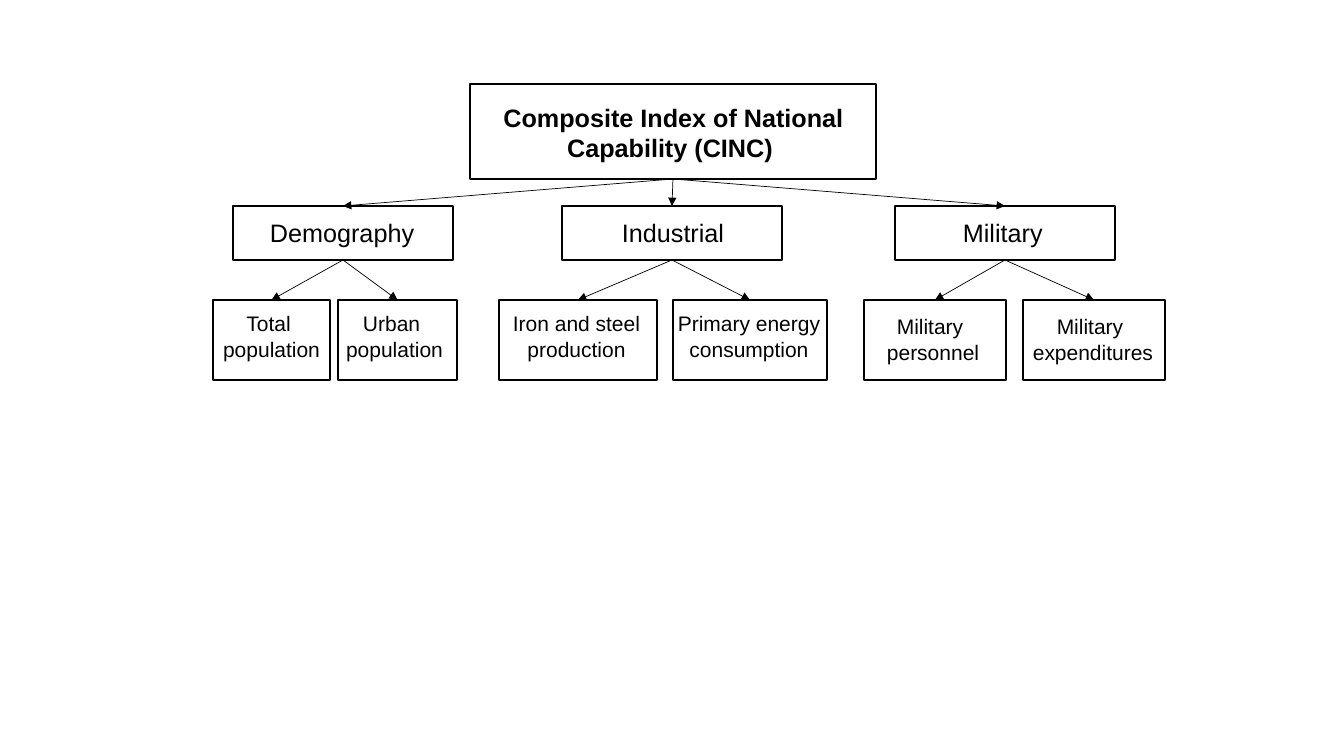
from dataclasses import dataclass

from lxml.etree import SubElement
from pptx import Presentation
from pptx.dml.color import RGBColor
from pptx.enum.shapes import MSO_CONNECTOR as Link, MSO_SHAPE as Form
from pptx.enum.text import MSO_ANCHOR as Anchor, MSO_AUTO_SIZE as Fit, PP_ALIGN as Align
from pptx.oxml.ns import qn
from pptx.shapes.autoshape import Shape
from pptx.util import Emu, Pt

BLACK = RGBColor(0, 0, 0)
WHITE = RGBColor(255, 255, 255)
FONT = "Arial"
SCALE = 914400 / 100.8


@dataclass(frozen=True)
class Area:
    left: int
    top: int
    width: int
    height: int

    def emu(self) -> list[Emu]:
        sides = (self.left, self.top, self.width, self.height)
        return [Emu(round(side * SCALE)) for side in sides]


@dataclass(frozen=True)
class Node:
    lines: tuple[str, ...]
    box: Area
    label: Area
    size: int
    align: Align = Align.CENTER
    bold: bool = False
    wrap: bool = False


def group(text: str, left: int, start: int, width: int) -> Node:
    return Node((text,), Area(left, 206, 220, 54), Area(start, 212, width, 40), 18, Align.LEFT)


def leaf(first: str, second: str, left: int, width: int,
         start: int, span: int, top: int = 306) -> Node:
    return Node((first, second), Area(left, 300, width, 80), Area(start, top, span, 61), 15)


ROOT = Node(("Composite Index of National Capability (CINC) ",),
            Area(470, 84, 406, 95), Area(487, 97, 373, 72), 18, bold=True, wrap=True)

TREE = {
    group("Demography", 233, 260, 166): (
        leaf("Total ", "population", 213, 117, 212, 119),
        leaf("Urban ", "population", 338, 119, 335, 119),
    ),
    group("Industrial", 562, 612, 124): (
        leaf("Iron and steel", "production", 499, 158, 502, 149),
        leaf("Primary energy", "consumption", 673, 154, 667, 164),
    ),
    group("Military ", 895, 953, 108): (
        leaf("Military ", "personnel", 864, 142, 876, 114, 309),
        leaf("Military ", "expenditures", 1023, 142, 1022, 142, 309),
    ),
}

deck = Presentation()
deck.slide_width, deck.slide_height = Area(0, 0, 1344, 756).emu()[2:]
slide = deck.slides.add_slide(deck.slide_layouts[5])
shapes = slide.shapes


def write(shape: Shape, node: Node) -> None:
    shape.left, shape.top, shape.width, shape.height = node.label.emu()
    frame = shape.text_frame
    frame.word_wrap = node.wrap
    frame.auto_size = Fit.SHAPE_TO_FIT_TEXT
    frame.vertical_anchor = Anchor.TOP
    for index, line in enumerate(node.lines):
        para = frame.add_paragraph() if index else frame.paragraphs[0]
        para.alignment = node.align
        run = para.add_run()
        run.text = line
        font = run.font
        font.name, font.size, font.bold = FONT, Pt(node.size), node.bold
        font.color.rgb = BLACK


def frame_box(node: Node) -> Shape:
    box = shapes.add_shape(Form.RECTANGLE, *node.box.emu())
    box.shadow.inherit = False
    box.fill.solid()
    box.fill.fore_color.rgb = WHITE
    box.line.color.rgb = BLACK
    box.line.width = Pt(1)
    return box


def draw(node: Node) -> Shape:
    box = frame_box(node)
    write(shapes.add_textbox(*node.label.emu()), node)
    return box


def join(parent: Shape, child: Shape) -> None:
    arrow = shapes.add_connector(Link.STRAIGHT, 0, 0, 0, 0)
    arrow.begin_connect(parent, 2)
    arrow.end_connect(child, 0)
    arrow.line.color.rgb = BLACK
    arrow.line.width = Pt(0.5)
    SubElement(arrow.line._get_or_add_ln(), qn("a:tailEnd"), type="triangle")
    SubElement(arrow.element.spPr, qn("a:effectLst"))


top = frame_box(ROOT)
title = shapes.title
shapes.element.append(title.element)
write(title, ROOT)

for branch, leaves in TREE.items():
    middle = draw(branch)
    join(top, middle)
    for item in leaves:
        join(middle, draw(item))

deck.save("out.pptx")
